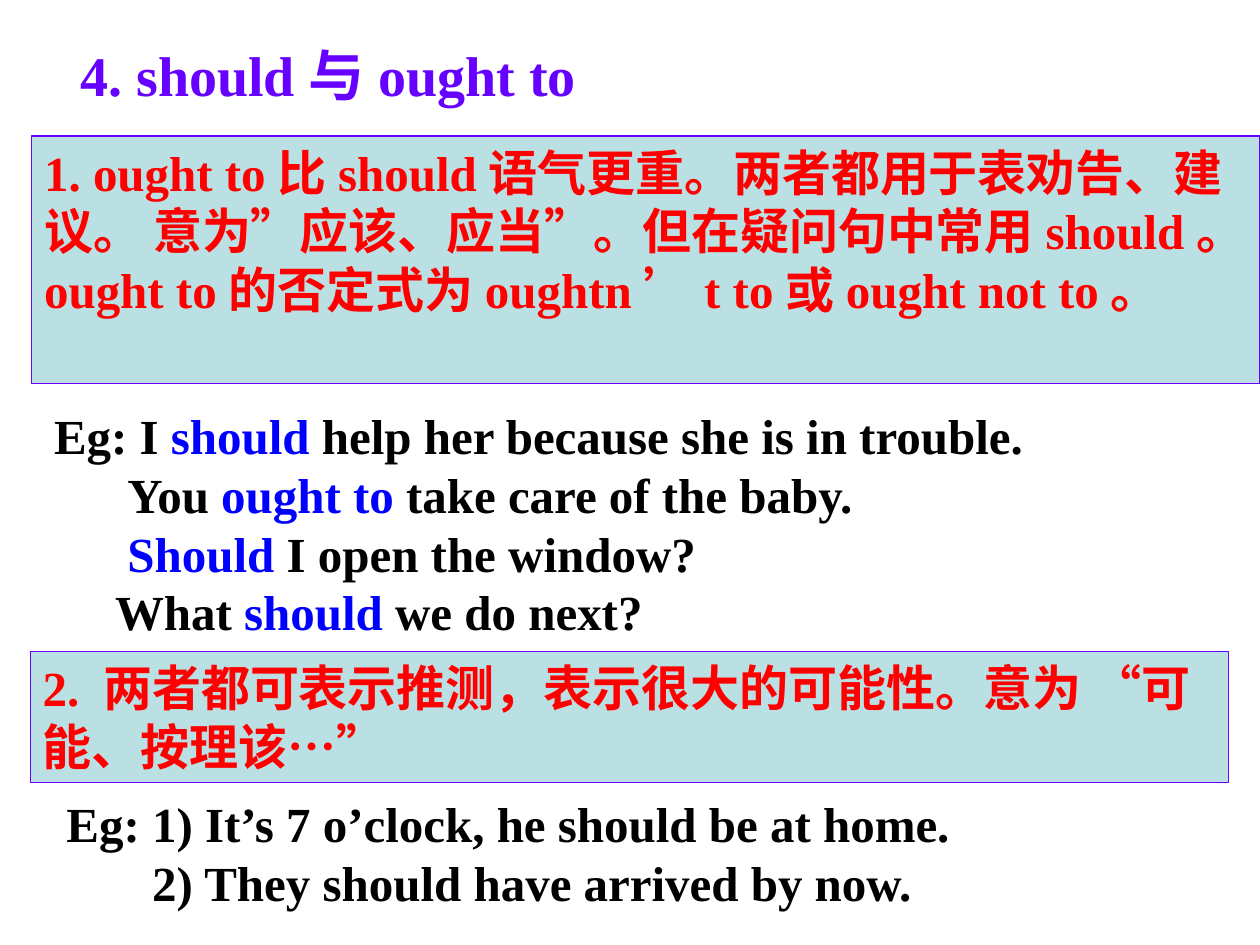
from pptx import Presentation
from pptx.dml.color import RGBColor
from pptx.enum.shapes import MSO_SHAPE
from pptx.enum.text import MSO_ANCHOR, MSO_AUTO_SIZE, PP_ALIGN
from pptx.util import Cm, Pt

FONT = "Times New Roman"
PURPLE = RGBColor(0x66, 0x00, 0xFF)
RED = RGBColor(0xFF, 0x00, 0x00)
BLUE = RGBColor(0x00, 0x00, 0xFF)
BLACK = RGBColor(0x00, 0x00, 0x00)
PALE_TEAL = RGBColor(0xBB, 0xE0, 0xE3)

# A paragraph is (indent in cm, [(text, colour), ...])
TITLE = [(0, [("4. should与ought to", PURPLE)])]
RULE_1 = [(0, [("1. ought to比should语气更重。两者都用于表劝告、建议。 意为”应该、应当”。"
                "但在疑问句中常用should。ought to的否定式为oughtn’t to或ought not to。", RED)])]
EXAMPLES_1 = [
    (0, [("Eg: I ", BLACK), ("should", BLUE), (" help her because she is in trouble.", BLACK)]),
    (1.48, [("You ", BLACK), ("ought to", BLUE), (" take care of the baby.", BLACK)]),
    (1.48, [("Should", BLUE), (" I open the window?", BLACK)]),
    (1.23, [("What ", BLACK), ("should", BLUE), (" we do next?", BLACK)]),
]
RULE_2 = [(0, [("2. 两者都可表示推测，表示很大的可能性。意为 “可能、按理该…”", RED)])]
EXAMPLES_2 = [
    (0, [("Eg: 1) It’s 7 o’clock, he should be at home.", BLACK)]),
    (1.73, [("2) They should have arrived by now.", BLACK)]),
]

# content, (left, top, width, height) in cm, size in pt, filled
BLOCKS = [
    (TITLE, (1.37, 0.69, 11, 1.63), 32, False),
    (RULE_1, (0.64, 2.74, 24.76, 5), 28, True),
    (EXAMPLES_1, (0.84, 8.05, 24.56, 5), 28, False),
    (RULE_2, (0.61, 13.13, 24.16, 2.64), 28, True),
    (EXAMPLES_2, (1.09, 15.88, 18.8, 2.64), 28, False),
]


def add_block(slide, paragraphs, box, size, filled):
    place = [Cm(v) for v in box]
    if filled:
        sp = slide.shapes.add_shape(MSO_SHAPE.RECTANGLE, *place)
        sp.shadow.inherit = False
        sp.fill.solid()
        sp.fill.fore_color.rgb = PALE_TEAL
        sp.line.color.rgb = PURPLE
        sp.line.width = Pt(0.75)
    else:
        sp = slide.shapes.add_textbox(*place)
    tf = sp.text_frame
    tf.word_wrap = True
    tf.auto_size = MSO_AUTO_SIZE.SHAPE_TO_FIT_TEXT
    tf.vertical_anchor = MSO_ANCHOR.TOP
    for i, (indent, runs) in enumerate(paragraphs):
        p = tf.add_paragraph() if i else tf.paragraphs[0]
        p.alignment = PP_ALIGN.LEFT
        if indent:
            p._p.get_or_add_pPr().set("marL", str(Cm(indent)))
        for text, colour in runs:
            r = p.add_run()
            r.text = text
            r.font.name = FONT
            r.font.size = Pt(size)
            r.font.bold = True
            r.font.color.rgb = colour


def main():
    prs = Presentation()
    prs.slide_width, prs.slide_height = Cm(25.4), Cm(19.05)
    slide = prs.slides.add_slide(prs.slide_layouts[6])
    for block in BLOCKS:
        add_block(slide, *block)
    prs.save("out.pptx")


if __name__ == "__main__":
    main()
